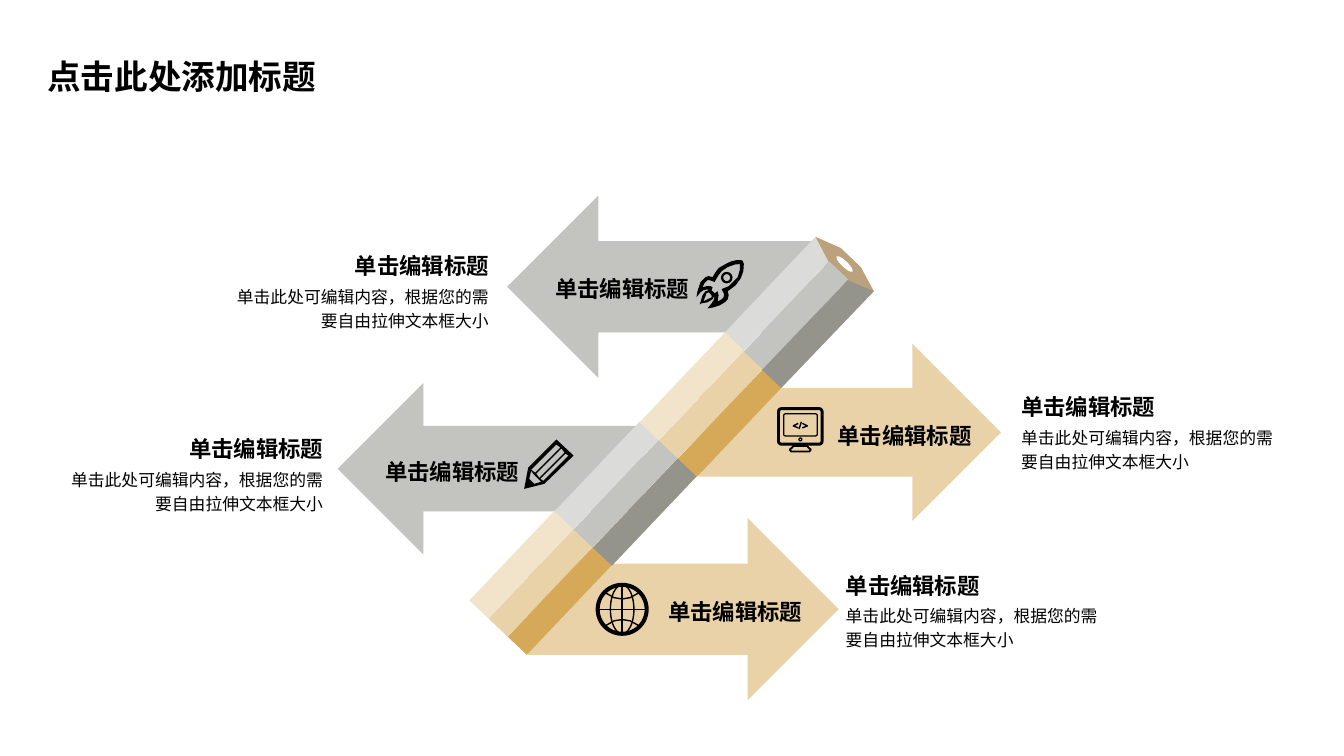
from lxml import etree
from pptx import Presentation
from pptx.dml.color import RGBColor
from pptx.enum.shapes import MSO_SHAPE
from pptx.enum.text import PP_ALIGN
from pptx.oxml.ns import qn
from pptx.util import Pt

COLORS = {
    "black": "000000", "white": "FFFFFF", "wood": "BBA17C",
    "gray_light": "DBDBD9", "gray": "C3C3BF", "gray_dark": "94948D",
    "gold_light": "F2E4CB", "gold": "E9D2A8", "gold_dark": "D5A958",
}
GRID = 0.72
CJK_FONT = "Noto Sans CJK SC"

presentation = Presentation()
presentation.slide_width = Pt(960)
presentation.slide_height = Pt(540)
slide = presentation.slides.add_slide(presentation.slide_layouts[6])
shapes = slide.shapes


def paint(shape, fill=None, stroke=None):
    shape.shadow.inherit = False
    if fill:
        shape.fill.solid()
        shape.fill.fore_color.rgb = RGBColor.from_string(COLORS[fill])
    else:
        shape.fill.background()
    if stroke:
        shape.line.color.rgb = RGBColor.from_string(COLORS["black"])
        shape.line.width = Pt(stroke)
    else:
        shape.line.fill.background()


def draw_outline(left, top, contours, fill=None, stroke=None, close=True):
    builder = None
    for contour in contours:
        points = [(Pt(left + x * GRID), Pt(top + y * GRID)) for x, y in contour]
        if builder is None:
            builder = shapes.build_freeform(*points[0], scale=1.0)
        else:
            builder.move_to(*points[0])
        builder.add_line_segments(points[1:], close=close)
    paint(builder.convert_to_shape(), fill, stroke)


arrows = [
    (377.3, 370, 221.8, 130.3, "gold", 180),
    (499, 245.5, 216, 126.7, "gold", 180),
    (362.2, 139.7, 219.6, 130.3, "gray", 0),
    (241.2, 273.6, 217.4, 122.4, "gray", 0),
]
for left, top, width, height, fill, rotation in arrows:
    arrow = shapes.add_shape(MSO_SHAPE.LEFT_ARROW, Pt(left), Pt(top), Pt(width), Pt(height))
    arrow.rotation = rotation
    paint(arrow, fill)

tip_left, tip_top = 582.5, 169.2
draw_outline(tip_left, tip_top, [[(3, 25), (0, 0), (25, 11), (45, 30), (58, 54), (32, 53)]], "wood")
draw_outline(tip_left, tip_top, [[(13, 25), (0, 0), (-91, 96), (-72, 114)]], "gray_light")
for section, family in enumerate(["gold", "gray", "gold", "gray"]):
    for strip, shade in enumerate(["_light", "", "_dark"]):
        if section == 3 and strip != 1:
            continue
        left = 328.3 + section * 60.8 + strip * 13.7
        top = 393.8 - section * 63.6 + strip * 13
        band = shapes.add_shape(MSO_SHAPE.RECTANGLE, Pt(left), Pt(top), Pt(88.6), Pt(18.7))
        band.rotation = 313.5
        paint(band, family + shade)
draw_outline(tip_left, tip_top, [[(58, 54), (32, 43), (-53, 132), (-34, 150)]], "gray_dark")
lead = shapes.add_shape(MSO_SHAPE.OVAL, Pt(601.2), Pt(180.7), Pt(4.3), Pt(15.8))
lead.rotation = 313.5
paint(lead, "white")

pencil_icon = [
    [(49, 16), (32, 0), (4, 28), (0, 49), (20, 44)],
    [(19, 41), (16, 39), (41, 14), (44, 16)],
    [(10, 44), (5, 39), (7, 31), (9, 34), (15, 40), (17, 42)],
    [(40, 13), (15, 38), (12, 34), (37, 9)],
    [(32, 5), (36, 8), (11, 33), (7, 30)],
]
draw_outline(374.4, 313.9, pencil_icon, "black")

rocket_body = [
    [(0, 38), (1, 32), (4, 23), (9, 18), (12, 17), (16, 18), (19, 13), (22, 9), (29, 5),
     (34, 2.5), (40, 1), (44, 1), (46, 2), (47, 5), (46.5, 12), (44, 19), (39, 26),
     (35, 29), (31, 32), (32, 36), (31, 40), (28, 43), (23, 46), (17, 48), (11, 49),
     (15, 44), (17, 41), (18, 37), (17, 38), (16, 37), (12, 33), (11, 31), (11, 30),
     (7, 31), (4, 33)],
    [(31, 8), (25, 12), (22, 16), (19, 21), (18, 23), (16, 22), (13, 21), (11, 21),
     (8, 24), (6, 28), (10, 27), (14, 27), (16, 28), (15, 31), (18, 34), (21, 32),
     (22, 36), (21, 42), (25, 40), (27, 38), (27.5, 35), (26, 32), (25, 30), (27, 29),
     (32, 27), (36, 23), (41, 18), (43, 11), (43, 5), (38, 5.5)],
]
rocket_flame = [
    [(3, 45), (4, 43), (6, 36), (9, 32), (13, 31), (16, 33), (17.5, 36.5), (16, 40), (11, 43), (5, 44)],
    [(14, 34), (12, 33), (10, 34), (8.5, 38), (7, 42), (11, 40), (15, 38), (15, 36)],
]
for contours in (rocket_body, rocket_flame):
    draw_outline(497.5, 185, contours, "black")

screen_left, screen_top = 555.1, 290.9
draw_outline(screen_left, screen_top,
             [[(16, 38.5), (15, 40), (12.5, 42), (14, 44), (32, 44), (33.5, 42), (31, 40), (30, 38.5)]],
             stroke=1.3)
for chevron in ([(21, 16), (16, 18.5), (21, 20.5)], [(25, 16), (30, 18.5), (25, 20.5)]):
    draw_outline(screen_left, screen_top, [chevron], stroke=1, close=False)

globe_x, globe_y = 444.4, 435.2
for side in (-1, 1):
    latitude = [(-16, 16 * side), (-8, 11.5 * side), (0, 10.2 * side), (8, 11.5 * side), (16, 16 * side)]
    draw_outline(globe_x, globe_y, [latitude], stroke=1, close=False)

icon_rings = [
    (MSO_SHAPE.OVAL, globe_x - 17.5, globe_y - 17.5, 35, 35, 2.9),
    (MSO_SHAPE.OVAL, globe_x - 8.4, globe_y - 17.5, 16.8, 35, 1),
    (MSO_SHAPE.OVAL, 515.8, 195, 6.7, 6.7, 1.6),
    (MSO_SHAPE.ROUNDED_RECTANGLE, 556.1, 291.9, 31.1, 25.4, 2.1),
    (MSO_SHAPE.ROUNDED_RECTANGLE, 559.8, 295.6, 24, 15.8, 0.9),
    (MSO_SHAPE.OVAL, 570.7, 312.9, 2, 2, 0.9),
]
for kind, left, top, width, height, stroke in icon_rings:
    ring = shapes.add_shape(kind, Pt(left), Pt(top), Pt(width), Pt(height))
    if kind == MSO_SHAPE.ROUNDED_RECTANGLE:
        ring.adjustments[0] = 0.08
    paint(ring, stroke=stroke)

icon_lines = [
    (globe_x - 17.5, globe_y, globe_x + 17.5, globe_y),
    (globe_x, globe_y - 17.5, globe_x, globe_y + 17.5),
    (572.4, 301.3, 570.8, 306.4),
]
for ends in icon_lines:
    line = shapes.add_connector(1, *[Pt(value) for value in ends])
    line.line.color.rgb = RGBColor.from_string(COLORS["black"])
    line.line.width = Pt(1)
    etree.SubElement(line._element.spPr, qn("a:effectLst"))

heading = "单击编辑标题"
description = "单击此处可编辑内容，根据您的需要自由拉伸文本框大小"
texts = [("点击此处添加标题", 33.8, 39.6, 202, 28.8, 24, True, PP_ALIGN.LEFT, CJK_FONT, 1)]
for left, top in [(390.2, 193), (591.8, 297.4), (470.9, 423.4), (268.6, 323.3)]:
    texts.append((heading, left, top, 102.2, 21.6, 16, True, PP_ALIGN.RIGHT, "Arial", 1.2))
for edge, top, align in [
    (729.4, 277.2, PP_ALIGN.LEFT), (604.1, 404.6, PP_ALIGN.LEFT),
    (230.8, 307, PP_ALIGN.RIGHT), (349.2, 176.6, PP_ALIGN.RIGHT),
]:
    for text, offset, width, height, size, bold in [
        (heading, 0, 102.2, 21.6, 16, True), (description, 25.4, 183.6, 33.1, 12, False),
    ]:
        left = edge - width if align == PP_ALIGN.RIGHT else edge
        texts.append((text, left, top + offset, width, height, size, bold, align, "Arial", 1.2))

for text, left, top, width, height, size, bold, align, font_name, spacing in texts:
    box = shapes.add_textbox(Pt(left), Pt(top), Pt(width), Pt(height))
    frame = box.text_frame
    frame.word_wrap = True
    frame.margin_left = frame.margin_right = frame.margin_top = frame.margin_bottom = 0
    paragraph = frame.paragraphs[0]
    paragraph.text = text
    paragraph.alignment = align
    paragraph.line_spacing = spacing
    font = paragraph.font
    font.name = font_name
    font.size = Pt(size)
    font.bold = bold
    font.color.rgb = RGBColor.from_string(COLORS["black"])
    properties = paragraph._p.pPr.find(qn("a:defRPr"))
    etree.SubElement(properties, qn("a:ea")).set("typeface", CJK_FONT)

presentation.save("out.pptx")
